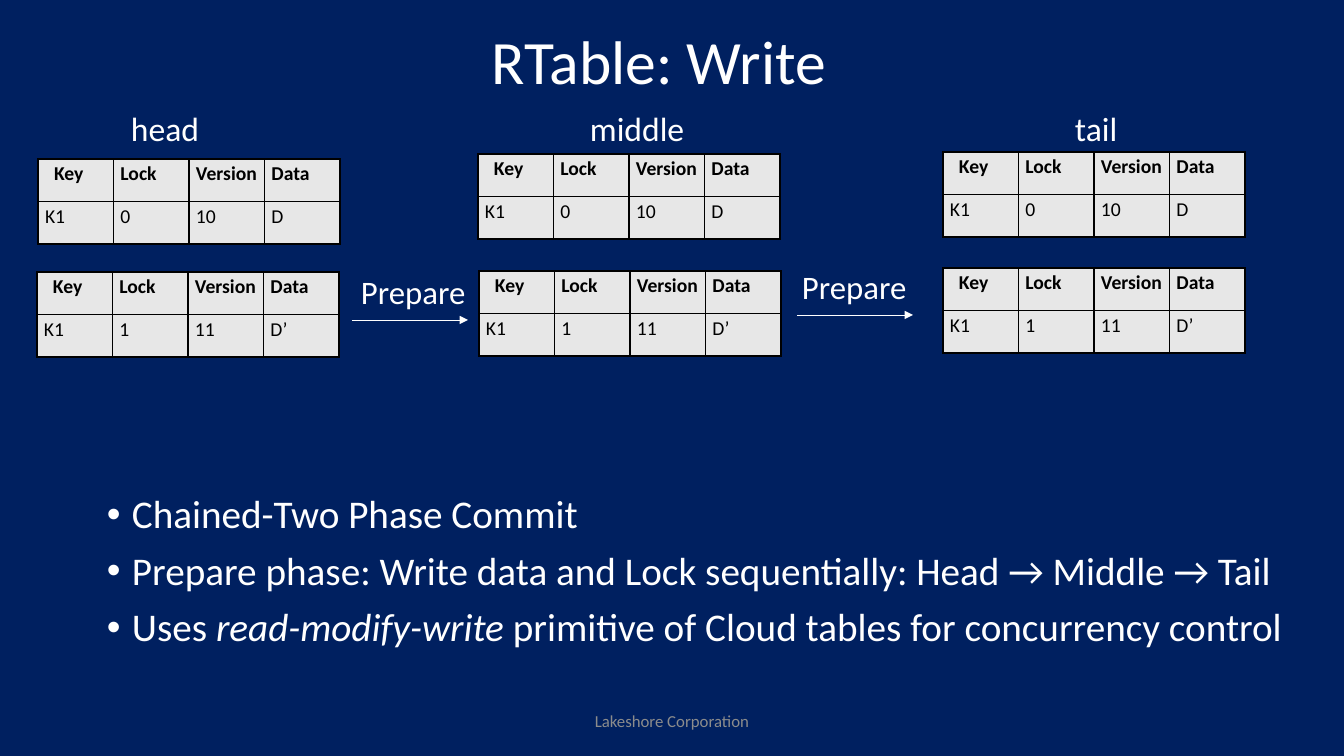
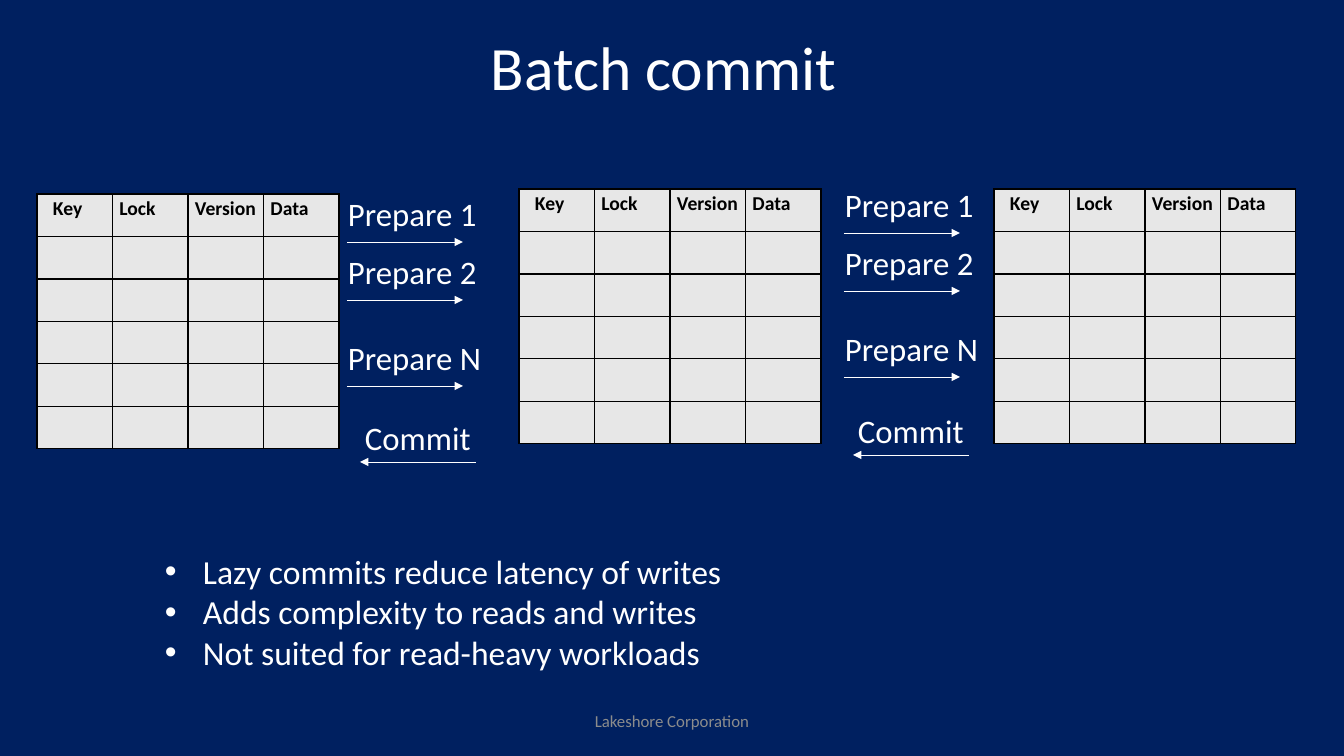
from pptx import Presentation, util as u
from pptx.dml.color import RGBColor
from pptx.enum import shapes, text
from pptx.oxml import parse_xml
from pptx.oxml.ns import nsdecls

NAVY = RGBColor(0x00, 0x20, 0x60)
WHITE = RGBColor(0xFF, 0xFF, 0xFF)
BLACK = RGBColor(0, 0, 0)
PALE = RGBColor(0xE7, 0xE7, 0xE7)
GREY = RGBColor(0x8C, 0x8C, 0x8C)
FONT = "Calibri"
WIDE, HIGH = 1344, 756
SCALE = 12192000 / WIDE

# Content
FOOTER = "Lakeshore Corporation"
HEADS = ["Key", "Lock", "Version", "Data"]
OLD = [["K1", "0", "10", "D"]]
NEW = [["K1", "1", "11", "D’"]]
EMPTY = [[""] * 4] * 5

# Tables: x, y, rows. Labels: x, y, text.
# Arrows: text, text x, start x, end x, y, text height above the arrow.
WRITE = dict(
    title=("RTable: Write", 139, 2),
    labels=[(131, 108, "head"), (590, 108, "middle"), (1075, 108, "tail")],
    tables=[(38, 159, OLD), (478, 154, OLD), (943, 152, OLD),
            (37, 272, NEW), (479, 271, NEW), (943, 268, NEW)],
    arrows=[("Prepare", 361, 352, 468, 320, 48),
            ("Prepare", 802, 797, 913, 315, 48)],
    points=["Chained-Two Phase Commit",
            "Prepare phase: Write data and Lock sequentially: "
            "Head → Middle → Tail",
            [("Uses ", False), ("read-modify-write", True),
             (" primitive of Cloud tables for concurrency control", False)]],
    area=(107, 495, 1201, 206),
    style=dict(size=28, indent=25, spacing=0.9, before=10),
)

STEPS = [("Prepare 1", 0), ("Prepare 2", 58), ("Prepare N", 144)]
LANES = [(347, 242), (844, 233)]
BACK = [("Commit", 365, 476, 360, 462, 44),
        ("Commit", 858, 969, 853, 455, 44)]
BATCH = dict(
    title=("Batch commit", 144, 8),
    labels=[],
    tables=[(37, 194, EMPTY), (519, 189, EMPTY), (994, 189, EMPTY)],
    arrows=[(step, x + 1, x, x + 116, y + drop, 48)
            for x, y in LANES for step, drop in STEPS] + BACK,
    points=["Lazy commits reduce latency of writes",
            "Adds complexity to reads and writes",
            "Not suited for read-heavy workloads"],
    area=(165, 551, 971, 122),
    style=dict(size=24, indent=38),
)


def px(n):
    return u.Emu(round(n * SCALE))


def put_text(slide, lines, x, y, w, h, size=24, color=WHITE, align="LEFT",
             anchor="TOP", indent=0, spacing=None, before=0):
    frame = slide.shapes.add_textbox(px(x), px(y), px(w), px(h)).text_frame
    frame.word_wrap = True
    frame.margin_left = frame.margin_right = 0
    frame.margin_top = frame.margin_bottom = 0
    frame.vertical_anchor = getattr(text.MSO_ANCHOR, anchor)
    for i, line in enumerate([lines] if isinstance(lines, str) else lines):
        para = frame.add_paragraph() if i else frame.paragraphs[0]
        para.alignment = getattr(text.PP_ALIGN, align)
        if spacing:
            para.line_spacing = spacing
        if i and before:
            para.space_before = u.Pt(before)
        if indent:
            props = para._p.get_or_add_pPr()
            props.set("marL", str(px(indent)))
            props.set("indent", str(-px(indent)))
            for tag in ('buFont typeface="Arial"', 'buChar char="•"'):
                props.append(parse_xml(f"<a:{tag} {nsdecls('a')}/>"))
        for words, slant in [(line, False)] if isinstance(line, str) else line:
            run = para.add_run()
            run.text = words
            run.font.italic = slant
            set_font(run.font, size, color)


def set_font(font, size, color, bold=False):
    font.name, font.size, font.bold = FONT, u.Pt(size), bold
    font.color.rgb = color


def put_table(slide, x, y, rows):
    data = [HEADS] + rows
    wide, high = px(302), px(85) * len(data) // 2
    frame = slide.shapes.add_table(len(data), len(HEADS), px(x), px(y),
                                   wide, high)
    table = frame.table
    table.first_row = table.horz_banding = False
    for col in table.columns:
        col.width = wide // len(HEADS)
    for r, row in enumerate(data):
        table.rows[r].height = high // len(data)
        for c, words in enumerate(row):
            cell = table.cell(r, c)
            cell.margin_left = px(16 if words == "Key" else 7)
            cell.margin_right = cell.margin_top = cell.margin_bottom = px(3)
            # Borders go before the fill
            props = cell._tc.get_or_add_tcPr()
            for side in "LRTB":
                props.append(parse_xml(
                    f'<a:ln{side} {nsdecls("a")} w="12700"><a:solidFill>'
                    f'<a:srgbClr val="{BLACK}"/></a:solidFill></a:ln{side}>'))
            cell.fill.solid()
            cell.fill.fore_color.rgb = PALE
            if words:
                run = cell.text_frame.paragraphs[0].add_run()
                run.text = words
                set_font(run.font, 14, BLACK, bold=r == 0)


def put_arrow(slide, label, left, start, end, y, gap):
    put_text(slide, label, left, y - gap, 140, 40, size=23.4)
    line = slide.shapes.add_connector(shapes.MSO_CONNECTOR.STRAIGHT,
                                      px(start), px(y), px(end), px(y))
    line.line.color.rgb = WHITE
    line.line.width = u.Pt(0.3)
    line.line._get_or_add_ln().append(
        parse_xml(f'<a:tailEnd {nsdecls("a")} type="triangle"/>'))
    line._element.spPr.append(parse_xml(f'<a:effectLst {nsdecls("a")}/>'))


def build(deck, page):
    slide = deck.slides.add_slide(deck.slide_layouts[6])
    slide.background.fill.solid()
    slide.background.fill.fore_color.rgb = NAVY
    # Title and footer
    title, x, y = page["title"]
    put_text(slide, title, x, y, 1040, 126, size=44, align="CENTER",
             anchor="MIDDLE", spacing=0.9)
    put_text(slide, FOOTER, 445, 701, 454, 40, size=12, color=GREY,
             align="CENTER", anchor="MIDDLE")
    # Replicas and messages
    for x, y, label in page["labels"]:
        put_text(slide, label, x, y, 120, 40)
    for spot in page["tables"]:
        put_table(slide, *spot)
    for arrow in page["arrows"]:
        put_arrow(slide, *arrow)
    # Bullets
    put_text(slide, page["points"], *page["area"], **page["style"])


def main():
    deck = Presentation()
    deck.slide_width, deck.slide_height = px(WIDE), px(HIGH)
    for page in (WRITE, BATCH):
        build(deck, page)
    deck.save("out.pptx")


if __name__ == "__main__":
    main()
